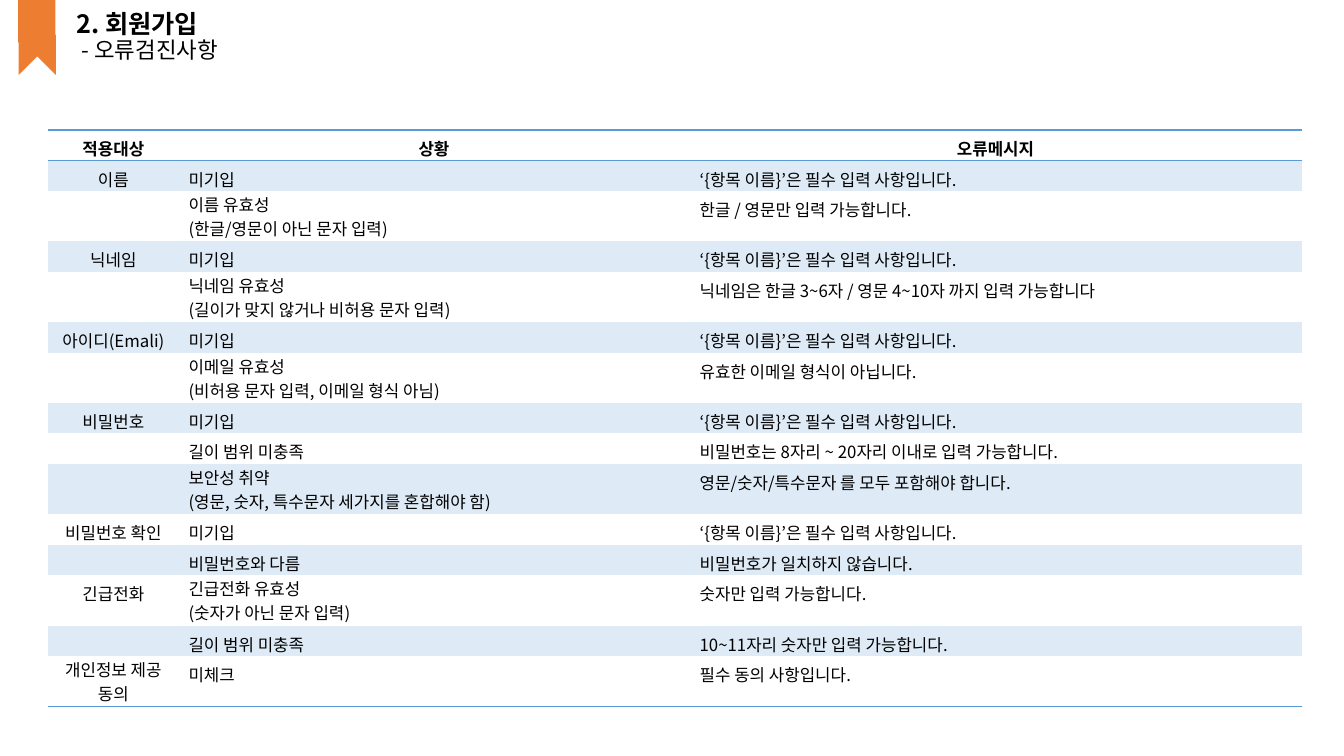
import dataclasses
import typing

import lxml.etree
import pptx
import pptx.dml.color
import pptx.enum.shapes
import pptx.enum.text
import pptx.oxml.ns
import pptx.util

RGBColor = pptx.dml.color.RGBColor
ORANGE = RGBColor(0xED, 0x7D, 0x31)
BLUE = RGBColor(0x5B, 0x9B, 0xD5)
PALE_BLUE = RGBColor(0xDE, 0xEB, 0xF7)
BLACK = RGBColor(0, 0, 0)

FONT = "Noto Sans CJK KR"
GRID = pptx.util.Inches(0.1)
COLUMNS = (12.9, 50.7, 60.7)
LINE_ROWS = {1: 3, 2: 5}
TOP_MARGIN = {1: 0.6, 2: 0.1}
NO_STYLE = "{2D5ABB26-0587-4C30-8999-92F81FD0307C}"
REQUIRED = "‘{항목 이름}’은 필수 입력 사항입니다."
qn = pptx.oxml.ns.qn
ALIGN = pptx.enum.text.PP_ALIGN
SHAPE = pptx.enum.shapes.MSO_SHAPE


@dataclasses.dataclass(frozen=True)
class Box:
    col: float
    row: float
    cols: float
    rows: float

    def emu(self) -> tuple[int, ...]:
        return tuple(units(v) for v in dataclasses.astuple(self))


@dataclasses.dataclass(frozen=True)
class Check:
    target: str
    case: str
    message: str
    lines: int = 1


HEADER = Check("적용대상", "상황", "오류메시지")
CHECKS = (
    Check("이름", "미기입", REQUIRED),
    Check("", "이름 유효성\n(한글/영문이 아닌 문자 입력)", "한글 / 영문만 입력 가능합니다.", 2),
    Check("닉네임", "미기입", REQUIRED),
    Check("", "닉네임 유효성\n(길이가 맞지 않거나 비허용 문자 입력)",
          "닉네임은 한글 3~6자 / 영문 4~10자 까지 입력 가능합니다", 2),
    Check("아이디(Emali)", "미기입", REQUIRED),
    Check("", "이메일 유효성\n(비허용 문자 입력, 이메일 형식 아님)",
          "유효한 이메일 형식이 아닙니다.", 2),
    Check("비밀번호", "미기입", REQUIRED),
    Check("", "길이 범위 미충족", "비밀번호는 8자리 ~ 20자리 이내로 입력 가능합니다."),
    Check("", "보안성 취약\n(영문, 숫자, 특수문자 세가지를 혼합해야 함)",
          "영문/숫자/특수문자 를 모두 포함해야 합니다.", 2),
    Check("비밀번호 확인", "미기입", REQUIRED),
    Check("", "비밀번호와 다름", "비밀번호가 일치하지 않습니다."),
    Check("긴급전화", "긴급전화 유효성\n(숫자가 아닌 문자 입력)", "숫자만 입력 가능합니다.", 2),
    Check("", "길이 범위 미충족", "10~11자리 숫자만 입력 가능합니다."),
    Check("개인정보 제공 동의", "미체크", "필수 동의 사항입니다.", 2),
)


def units(count: float) -> int:
    return round(count * GRID)


def add_run(p: typing.Any, text: str, size: int, bold: bool = False) -> None:
    r = p.add_run()
    r.text = text
    r.font.name = FONT
    r.font.size = pptx.util.Pt(size)
    r.font.bold = bold
    r.font.color.rgb = BLACK
    lxml.etree.SubElement(r.font._element, qn("a:ea"), typeface=FONT)


def add_title(s: typing.Any, box: Box) -> None:
    sp = s.shapes.title
    sp.left, sp.top, sp.width, sp.height = box.emu()
    tf = sp.text_frame
    tf.word_wrap = True
    tf.auto_size = pptx.enum.text.MSO_AUTO_SIZE.NONE
    tf.vertical_anchor = pptx.enum.text.MSO_ANCHOR.TOP
    lines = (("2. 회원가입", 18, True), (" - 오류검진사항", 16, False))
    for i, (text, size, bold) in enumerate(lines):
        p = tf.add_paragraph() if i else tf.paragraphs[0]
        p.alignment = ALIGN.LEFT
        p.line_spacing = 0.9
        p.space_before = pptx.util.Pt(0)
        add_run(p, text, size, bold)


def add_ribbon_part(s: typing.Any, kind: typing.Any, box: Box, rotation: int) -> None:
    sp = s.shapes.add_shape(kind, *box.emu())
    sp.rotation = rotation
    sp.shadow.inherit = False
    sp.fill.solid()
    sp.fill.fore_color.rgb = ORANGE
    sp.line.fill.background()


def add_border(cell: typing.Any, side: str) -> None:
    ln = lxml.etree.Element(qn(f"a:{side}"), w=str(pptx.util.Pt(1)))
    fill = lxml.etree.SubElement(ln, qn("a:solidFill"))
    lxml.etree.SubElement(fill, qn("a:srgbClr"), val=str(BLUE))
    cell._tc.get_or_add_tcPr().insert(0, ln)


def fill_cell(cell: typing.Any, text: str, centred: bool, bold: bool, banded: bool) -> None:
    cell.margin_top = units(TOP_MARGIN[text.count("\n") + 1])
    cell.margin_bottom = 0
    if banded:
        cell.fill.solid()
        cell.fill.fore_color.rgb = PALE_BLUE
    else:
        cell.fill.background()
    tf = cell.text_frame
    for i, line in enumerate(text.split("\n")):
        p = tf.add_paragraph() if i else tf.paragraphs[0]
        p.alignment = ALIGN.CENTER if centred else ALIGN.LEFT
        if line:
            add_run(p, line, 12, bold)
        else:
            lxml.etree.SubElement(p._p, qn("a:endParaRPr"), sz="1200")


def add_checks(s: typing.Any, col: float, row: float) -> None:
    checks = (HEADER, *CHECKS)
    heights = [LINE_ROWS[c.lines] for c in checks]
    box = Box(col, row, sum(COLUMNS), sum(heights))
    table = s.shapes.add_table(len(checks), len(COLUMNS), *box.emu()).table
    table.horz_banding = False
    table._tbl.tblPr.find(qn("a:tableStyleId")).text = NO_STYLE
    for column, width in zip(table.columns, COLUMNS):
        column.width = units(width)
    for i, (check, height) in enumerate(zip(checks, heights)):
        table.rows[i].height = units(height)
        for j, text in enumerate((check.target, check.case, check.message)):
            cell = table.cell(i, j)
            fill_cell(cell, text, i == 0 or j == 0, i == 0, i % 2 == 1)
            if i in (0, len(checks) - 1):
                add_border(cell, "lnB")
            if i == 0:
                add_border(cell, "lnT")
    if len(CHECKS[-1].target) > 9:
        table.cell(len(CHECKS), 0).margin_top = units(TOP_MARGIN[2])


def main() -> None:
    prs = pptx.Presentation()
    prs.slide_width = pptx.util.Inches(13.33)
    prs.slide_height = pptx.util.Inches(7.5)
    s = prs.slides.add_slide(prs.slide_layouts[5])
    add_title(s, Box(6.6, 0.7, 18.1, 6.7))
    add_ribbon_part(s, SHAPE.CHEVRON, Box(0.8, 2.7, 5.8, 3.7), 270)
    add_ribbon_part(s, SHAPE.RECTANGLE, Box(1.8, 0, 3.7, 4.2), 0)
    add_checks(s, 4.8, 12.9)
    prs.save("out.pptx")


if __name__ == "__main__":
    main()
